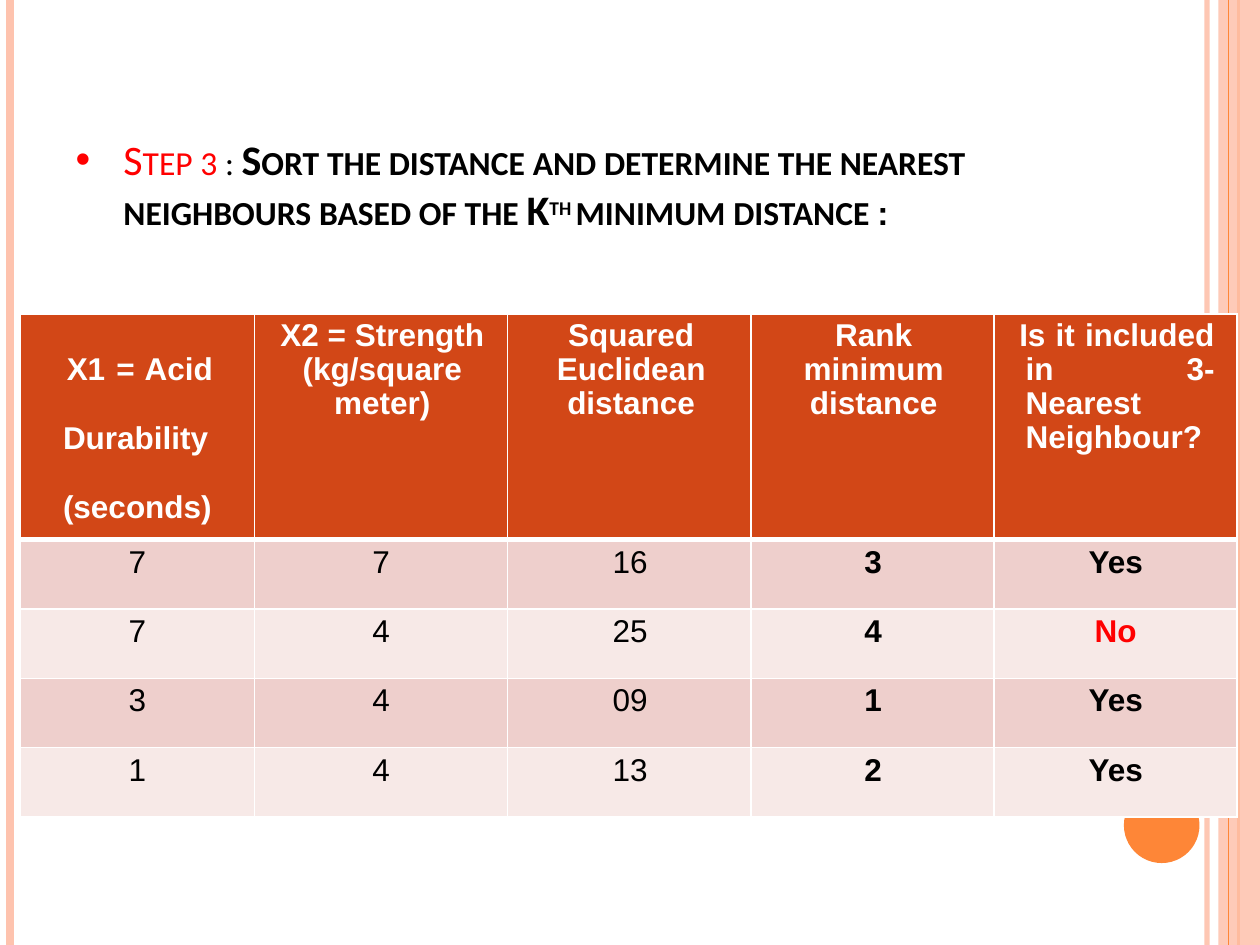
from dataclasses import dataclass

from lxml import etree
from pptx import Presentation
from pptx.dml import color
from pptx.enum import shapes, text
from pptx.oxml import ns
from pptx.util import Inches, Pt

ALIGN = text.PP_ALIGN
WHITE, BLACK, RED = "FFFFFF", "000000", "FF0000"
PEACH, ORANGE, RUST = "FEC3AE", "FE8637", "D24717"
BANDS = ("EECFCC", "F7E9E7")
SLIDE_W, SLIDE_H = 10, 7.5


@dataclass
class Stripe:
    x: float
    hue: str
    weight: float
    opacity: int = 100


@dataclass
class Words:
    wording: str
    hue: str = BLACK
    bold: bool = True
    font: str = "Arial"
    size: float = 18
    raised: bool = False
    small_caps: bool = False


@dataclass
class Layout:
    align: ALIGN = ALIGN.CENTER
    left: float = 0
    first: float = 0
    right: float = 0
    spacing: float = 1.0
    before: float = 3.1


@dataclass
class Column:
    heading: str
    width: float
    heading_layout: Layout
    value_layout: Layout
    bold: bool
    values: tuple[str, ...]


STRIPES_BEHIND = (Stripe(9.58, PEACH, 3, 93), Stripe(0.08, PEACH, 4.5), Stripe(9.83, ORANGE, 1.5))
STRIPE_OVER = Stripe(9.75, ORANGE, 0.75)

TITLE = (
    ("Step 3 ", RED, False),
    (": ", BLACK, False),
    ("Sort the distance and determine the nearest neighbours based of the K", BLACK, True),
    ("th ", BLACK, True),
    ("minimum distance ", BLACK, True),
)

COLUMNS = (
    Column("X1 = Acid Durability (seconds)", 1.86,
           Layout(ALIGN.JUSTIFY, 0.34, 0.03, 0.33, 1.95), Layout(), False, ("7", "7", "3", "1")),
    Column("X2 = Strength (kg/square meter)", 2.01,
           Layout(left=0.2, right=0.18, spacing=0.97), Layout(), False, ("7", "4", "4", "4")),
    Column("Squared Euclidean distance", 1.93,
           Layout(left=0.38, right=0.35, spacing=0.97),
           Layout(ALIGN.RIGHT, right=0.82), False, ("16", "25", "09", "13")),
    Column("Rank minimum distance", 1.93,
           Layout(left=0.41, right=0.39, spacing=0.97),
           Layout(ALIGN.RIGHT, right=0.89), True, ("3", "4", "1", "2")),
    Column("Is it included in 3-\vNearest Neighbour?", 1.93,
           Layout(ALIGN.JUSTIFY, 0.25, -0.05, 0.18, 0.97),
           Layout(), True, ("Yes", "No", "Yes", "Yes")),
)


def rgb(hue: str) -> color.RGBColor:
    return color.RGBColor.from_string(hue)


def add_child(parent, tag: str, **attributes: str):
    return etree.SubElement(parent, ns.qn(tag), attributes)


def set_opacity(properties, percent: int) -> None:
    if percent < 100:
        tone = next(properties.iter(ns.qn("a:srgbClr")))
        add_child(tone, "a:alpha", val=str(percent * 1000))


def draw_stripe(slide, stripe: Stripe) -> None:
    line = slide.shapes.add_connector(
        shapes.MSO_CONNECTOR.STRAIGHT,
        Inches(stripe.x), Inches(0), Inches(stripe.x), Inches(SLIDE_H))
    line.line.color.rgb = rgb(stripe.hue)
    line.line.width = Pt(stripe.weight)
    properties = line._element.spPr
    set_opacity(properties, stripe.opacity)
    add_child(properties, "a:effectLst")


def draw_block(slide, kind, x: float, y: float, w: float, h: float,
               hue: str, opacity: int = 100) -> None:
    block = slide.shapes.add_shape(kind, Inches(x), Inches(y), Inches(w), Inches(h))
    block.shadow.inherit = False
    block.fill.solid()
    block.fill.fore_color.rgb = rgb(hue)
    set_opacity(block._element.spPr, opacity)
    block.line.fill.background()


def add_words(paragraph, words: Words) -> None:
    for number, part in enumerate(words.wording.split("\v")):
        if number:
            paragraph.add_line_break()
        run = paragraph.add_run()
        run.text = part
        run.font.name = words.font
        run.font.size = Pt(words.size)
        run.font.bold = words.bold
        run.font.color.rgb = rgb(words.hue)
        if words.raised:
            run.font._element.set("baseline", "24000")
        if words.small_caps:
            run.font._element.set("cap", "small")


def arrange(paragraph, layout: Layout):
    paragraph.alignment = layout.align
    paragraph.line_spacing = layout.spacing
    paragraph.space_before = Pt(layout.before)
    properties = paragraph._p.get_or_add_pPr()
    properties.set("marL", str(Inches(layout.left)))
    properties.set("marR", str(Inches(layout.right)))
    properties.set("indent", str(Inches(layout.first)))
    return properties


def draw_title(slide) -> None:
    box = slide.shapes.add_textbox(Inches(0.56), Inches(1.03), Inches(8.57), Inches(0.83))
    frame = box.text_frame
    frame.word_wrap = True
    frame.vertical_anchor = text.MSO_ANCHOR.BOTTOM
    frame.margin_left = frame.margin_right = frame.margin_bottom = 0
    frame.margin_top = Inches(0.01)
    paragraph = frame.paragraphs[0]
    properties = arrange(paragraph, Layout(ALIGN.LEFT, 0.42, -0.38, 0.5, before=1))
    add_child(properties, "a:buFont", typeface="Arial")
    add_child(properties, "a:buChar", char="•")
    for wording, hue, bold in TITLE:
        add_words(paragraph, Words(wording, hue, bold, "Calibri", 24,
                                   raised=wording == "th ", small_caps=True))
    add_words(paragraph, Words(":", size=24, small_caps=True))


def set_borders(cell, top: float, bottom: float) -> None:
    properties = cell._tc.get_or_add_tcPr()
    for place, (side, weight) in enumerate((("L", 1), ("R", 1), ("T", top), ("B", bottom))):
        border = etree.Element(ns.qn(f"a:ln{side}"), {"w": str(Pt(weight))})
        add_child(add_child(border, "a:solidFill"), "a:srgbClr", val=WHITE)
        properties.insert(place, border)


def fill_cell(cell, words: Words, layout: Layout, hue: str) -> None:
    cell.fill.solid()
    cell.fill.fore_color.rgb = rgb(hue)
    cell.margin_left = cell.margin_right = cell.margin_bottom = 0
    cell.margin_top = Inches(0.04)
    paragraph = cell.text_frame.paragraphs[0]
    arrange(paragraph, layout)
    add_words(paragraph, words)


def draw_table(slide) -> None:
    heights = (1, 0.55, 0.55, 0.55, 0.55)
    width = sum(column.width for column in COLUMNS)
    table = slide.shapes.add_table(
        len(heights), len(COLUMNS), Inches(0.16), Inches(2.49),
        Inches(width), Inches(sum(heights))).table
    for row, height in zip(table.rows, heights):
        row.height = Inches(height)
    for c, column in enumerate(COLUMNS):
        table.columns[c].width = Inches(column.width)
        heading = table.cell(0, c)
        fill_cell(heading, Words(column.heading, WHITE), column.heading_layout, RUST)
        set_borders(heading, 1, 3)
        for r, value in enumerate(column.values, start=1):
            cell = table.cell(r, c)
            words = Words(value, RED if value == "No" else BLACK, column.bold)
            fill_cell(cell, words, column.value_layout, BANDS[(r - 1) % 2])
            set_borders(cell, 3 if r == 1 else 1, 1)


def main() -> None:
    deck = Presentation()
    deck.slide_width, deck.slide_height = Inches(SLIDE_W), Inches(SLIDE_H)
    slide = deck.slides.add_slide(deck.slide_layouts[6])
    for stripe in STRIPES_BEHIND:
        draw_stripe(slide, stripe)
    draw_block(slide, shapes.MSO_SHAPE.RECTANGLE, 9.67, 0, 0.33, SLIDE_H, PEACH, 87)
    draw_stripe(slide, STRIPE_OVER)
    draw_block(slide, shapes.MSO_SHAPE.OVAL, 8.92, 6.25, 0.6, 0.6, ORANGE)
    draw_title(slide)
    draw_table(slide)
    deck.save("out.pptx")


if __name__ == "__main__":
    main()
